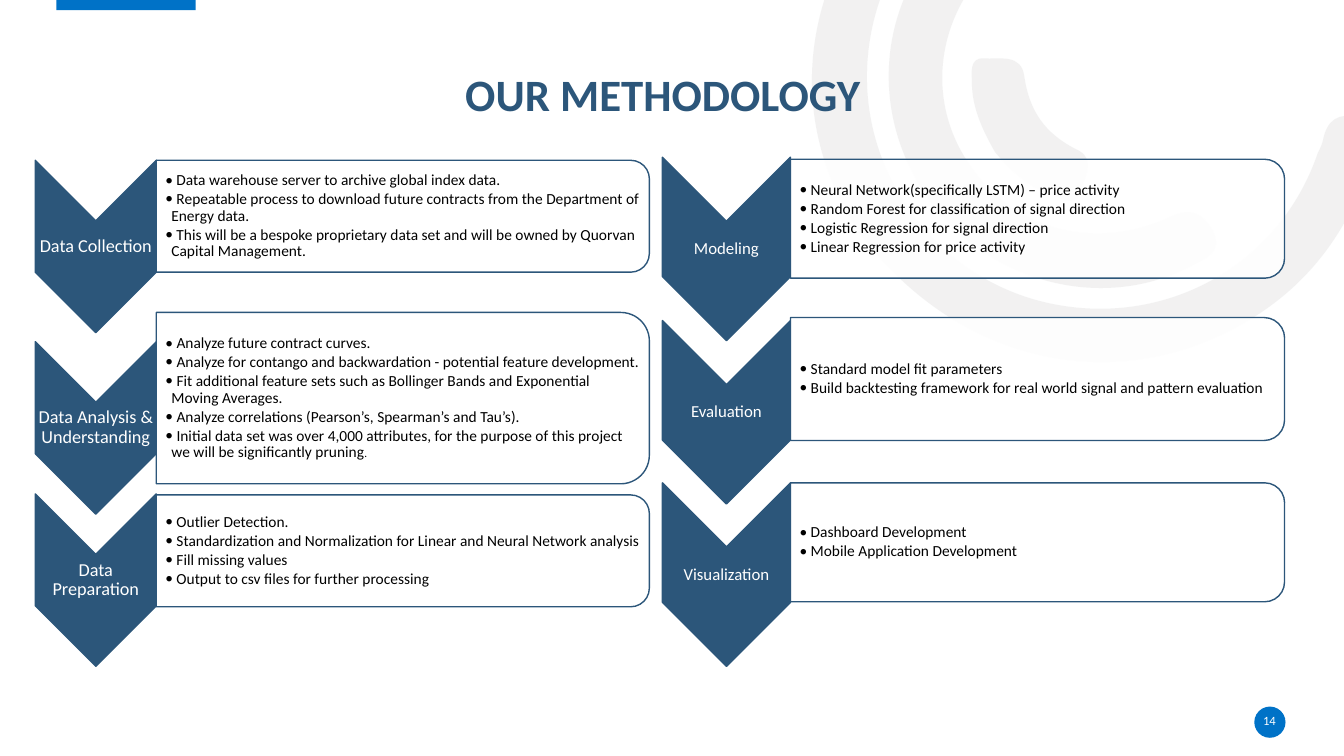
from pptx import Presentation
from pptx.dml.color import RGBColor
from pptx.enum.shapes import MSO_SHAPE
from pptx.enum.text import MSO_ANCHOR, MSO_AUTO_SIZE, PP_ALIGN
from pptx.oxml.ns import qn
from pptx.util import Inches, Pt
from lxml.etree import SubElement

NAVY = RGBColor(0x2C, 0x56, 0x7A)
BLUE = RGBColor(0x00, 0x72, 0xC7)
GREY = RGBColor(0xE7, 0xE6, 0xE6)
WHITE = RGBColor(0xFF, 0xFF, 0xFF)
BLACK = RGBColor(0, 0, 0)
FONT = "Calibri"

# Swirl outlines: a start point, then Bezier curves of two controls and an end
SWIRLS = [
    ((8.51, 2.29), [
        (7.99, 1.49, 7.87, 0.5, 8.38, -0.5), (8.9, -1.52, 9.76, -2.03, 10.9, -2.07),
        (11.05, -2.07, 11.21, -2.1, 11.31, -1.95), (11.44, -1.75, 11.27, -1.54, 10.98, -1.54),
        (9.67, -1.54, 8.65, -0.59, 8.6, 0.68), (8.56, 1.81, 9.36, 2.81, 10.46, 3.02),
        (11.6, 3.24, 12.7, 2.61, 13.07, 1.52), (13.09, 1.48, 13.11, 1.44, 13.12, 1.4),
        (13.16, 1.19, 13.27, 1.11, 13.49, 1.17), (13.73, 1.24, 13.67, 1.41, 13.61, 1.56),
        (13.34, 2.45, 12.78, 3.07, 11.91, 3.41), (10.7, 3.87, 9.36, 3.45, 8.51, 2.29)]),
    ((9.22, 1.99), [
        (8.62, 1.15, 8.69, 0.07, 9.4, -0.68), (9.51, -0.79, 9.62, -0.95, 9.8, -0.78),
        (9.95, -0.64, 9.97, -0.5, 9.79, -0.32), (9.25, 0.26, 9.2, 1.08, 9.65, 1.68),
        (10.08, 2.29, 10.88, 2.49, 11.61, 2.15), (11.82, 2.05, 11.93, 2.12, 12.03, 2.29),
        (12.13, 2.5, 11.97, 2.56, 11.83, 2.63), (10.96, 3.1, 9.83, 2.82, 9.22, 1.99)]),
    ((9.87, 1.51), [
        (9.75, 1.3, 9.64, 1.07, 9.64, 0.82), (9.64, 0.73, 9.61, 0.57, 9.76, 0.58),
        (9.92, 0.59, 10.13, 0.53, 10.16, 0.76), (10.21, 1.1, 10.36, 1.32, 10.67, 1.48),
        (10.88, 1.57, 10.76, 1.76, 10.72, 1.89), (10.68, 2.06, 10.55, 1.98, 10.45, 1.94),
        (10.21, 1.87, 10.03, 1.7, 9.87, 1.51)]),
]

# Each step: label, chevron top, panel top, panel height, bullets
LEFT_STEPS = [
    ("Data Collection", 1.59, 1.59, 1.11, [
        "Data warehouse server to archive global index data.",
        "Repeatable process to download future contracts from the Department of Energy data.",
        "This will be a bespoke proprietary data set and will be owned by "
        "Quorvan Capital Management."]),
    ("Data Analysis & Understanding", 3.39, 3.1, 1.7, [
        "Analyze future contract curves.",
        "Analyze for contango and backwardation - potential feature development.",
        "Fit additional feature sets such as Bollinger Bands and Exponential Moving Averages.",
        "Analyze correlations (Pearson’s, Spearman’s and Tau’s).",
        "Initial data set was over 4,000 attributes, for the purpose of this project "
        "we will be significantly pruning"]),
    ("Data Preparation", 4.9, 4.91, 1.11, [
        "Outlier Detection.",
        "Standardization and Normalization for Linear and Neural Network analysis",
        "Fill missing values",
        "Output to csv files for further processing"]),
]
RIGHT_STEPS = [
    ("Modeling", 1.56, 1.58, 1.18, [
        "Neural Network(specifically LSTM) – price activity",
        "Random Forest for classification of signal direction",
        "Logistic Regression for signal direction",
        "Linear Regression for price activity"]),
    ("Evaluation", 3.18, 3.15, 1.22, [
        "Standard model fit parameters",
        "Build backtesting framework for real world signal and pattern evaluation"]),
    ("Visualization", 4.79, 4.79, 1.18, [
        "Dashboard Development",
        "Mobile Application Development"]),
]


def paint(shape, fill, line=None, opacity=None):
    shape.shadow.inherit = False
    shape.fill.solid()
    shape.fill.fore_color.rgb = fill
    if opacity:
        color = shape.element.spPr.find(qn("a:solidFill"))[0]
        SubElement(color, qn("a:alpha"), val=str(opacity * 1000))
    if line:
        shape.line.color.rgb = line
        shape.line.width = Pt(1)
    else:
        shape.line.fill.background()


def add_shape(page, kind, left, top, width, height):
    return page.shapes.add_shape(
        kind, Inches(left), Inches(top), Inches(width), Inches(height))


def add_turned(page, kind, left, top, width, height):
    """Place a shape turned by 90 degrees so that it covers the given box."""
    shift = (width - height) / 2
    shape = add_shape(page, kind, left + shift, top - shift, height, width)
    shape.rotation = 90
    return shape


def add_curved(page, start, curves):
    """Lay the outline through all Bezier points, then bend each three into a curve."""
    points = [(Inches(curve[i]), Inches(curve[i + 1])) for curve in curves for i in (0, 2, 4)]
    builder = page.shapes.build_freeform(Inches(start[0]), Inches(start[1]))
    builder.add_line_segments(points, close=True)
    shape = builder.convert_to_shape()
    lines = list(shape.element.iter(qn("a:lnTo")))
    for first in range(0, len(lines), 3):
        bend = lines[first].makeelement(qn("a:cubicBezTo"), {})
        lines[first].addprevious(bend)
        for line in lines[first:first + 3]:
            bend.append(line[0])
            line.getparent().remove(line)
    return shape


def set_frame(frame, anchor, margins):
    frame.word_wrap = True
    frame.auto_size = MSO_AUTO_SIZE.NONE
    frame.vertical_anchor = anchor
    frame.margin_left, frame.margin_top, frame.margin_right, frame.margin_bottom = [
        Inches(margin) for margin in margins]


def format_para(para, size, color, align, bold=False):
    para.alignment = align
    para.font.name = FONT
    para.font.size = Pt(size)
    para.font.bold = bold
    para.font.color.rgb = color


def add_text(page, left, top, width, height, lines, size, color, align, margins):
    box = page.shapes.add_textbox(Inches(left), Inches(top), Inches(width), Inches(height))
    frame = box.text_frame
    set_frame(frame, MSO_ANCHOR.MIDDLE, margins)
    frame.text = "\n".join(lines)
    for para in frame.paragraphs:
        para.line_spacing = 0.9
        format_para(para, size, color, align)
    return frame


def add_bullets(page, left, top, width, height, items):
    lines = [" " + item for item in items]
    frame = add_text(page, left, top, width, height, lines, 11, BLACK,
                     PP_ALIGN.LEFT, (0.09, 0.01, 0.01, 0.01))
    for para in frame.paragraphs:
        para.level = 1
        para.space_after = Pt(1.65)
        properties = para._p.get_or_add_pPr()
        properties.set("marL", str(Inches(0.06)))
        properties.set("indent", str(-Inches(0.06)))
        defaults = properties.find(qn("a:defRPr"))
        for tag, attributes in (("a:buFont", {"typeface": FONT}), ("a:buChar", {"char": "•"})):
            defaults.addprevious(properties.makeelement(qn(tag), attributes))
    return frame


def add_background(page):
    for start, curves in SWIRLS:
        paint(add_curved(page, start, curves), GREY, opacity=53)
    # Top tab and page number
    paint(add_shape(page, MSO_SHAPE.RECTANGLE, 0.56, -0.02, 1.38, 0.12), BLUE)
    paint(add_shape(page, MSO_SHAPE.OVAL, 12.44, 7.01, 0.31, 0.31), BLUE)
    add_text(page, 12.43, 7.06, 0.32, 0.2, ["14"], 9, WHITE, PP_ALIGN.CENTER, (0, 0, 0, 0))


def add_title(page, left, top, width, height):
    title = page.shapes.title
    title.left, title.top = Inches(left), Inches(top)
    title.width, title.height = Inches(width), Inches(height)
    title.text_frame.text = "OUR METHODOLOGY"
    set_frame(title.text_frame, MSO_ANCHOR.BOTTOM, (0, 0, 0, 0))
    para = title.text_frame.paragraphs[0]
    para.line_spacing = 0.9
    format_para(para, 32, NAVY, PP_ALIGN.CENTER, bold=True)
    # Bring the title in front of the background
    title.element.getparent().append(title.element)


def add_column(page, left, chevron_width, chevron_height, panel_width, label_size, steps):
    panel_left = left + chevron_width
    for label, chevron_top, panel_top, panel_height, items in steps:
        # Chevron with its label across the middle
        chevron = add_turned(page, MSO_SHAPE.CHEVRON, left, chevron_top,
                             chevron_width, chevron_height)
        paint(chevron, NAVY, NAVY)
        add_text(page, left, chevron_top + 0.35 * chevron_height, chevron_width,
                 0.3 * chevron_height, [label], label_size, WHITE, PP_ALIGN.CENTER, [0.01] * 4)
        # Panel with its bullets
        panel = add_turned(page, MSO_SHAPE.ROUND_2_SAME_RECTANGLE, panel_left, panel_top,
                           panel_width, panel_height)
        paint(panel, WHITE, NAVY, opacity=90)
        inset = 0.05 * panel_height
        frame = add_bullets(page, panel_left, panel_top + inset, panel_width - inset,
                            panel_height - 2 * inset, items)
        # The sentence about pruning ends in a smaller full stop
        if items[-1].endswith("pruning"):
            stop = frame.paragraphs[-1].add_run()
            stop.text = "."
            stop.font.size = Pt(8)


def main():
    deck = Presentation()
    deck.slide_width, deck.slide_height = Inches(13.33), Inches(7.5)
    page = deck.slides.add_slide(deck.slide_layouts[5])
    add_background(page)
    add_title(page, 0.48, 0.51, 12.19, 0.69)
    add_column(page, 6.57, 1.27, 1.82, 4.9, 12, RIGHT_STEPS)
    add_column(page, 0.35, 1.2, 1.71, 4.89, 13, LEFT_STEPS)
    deck.save("out.pptx")


if __name__ == "__main__":
    main()
